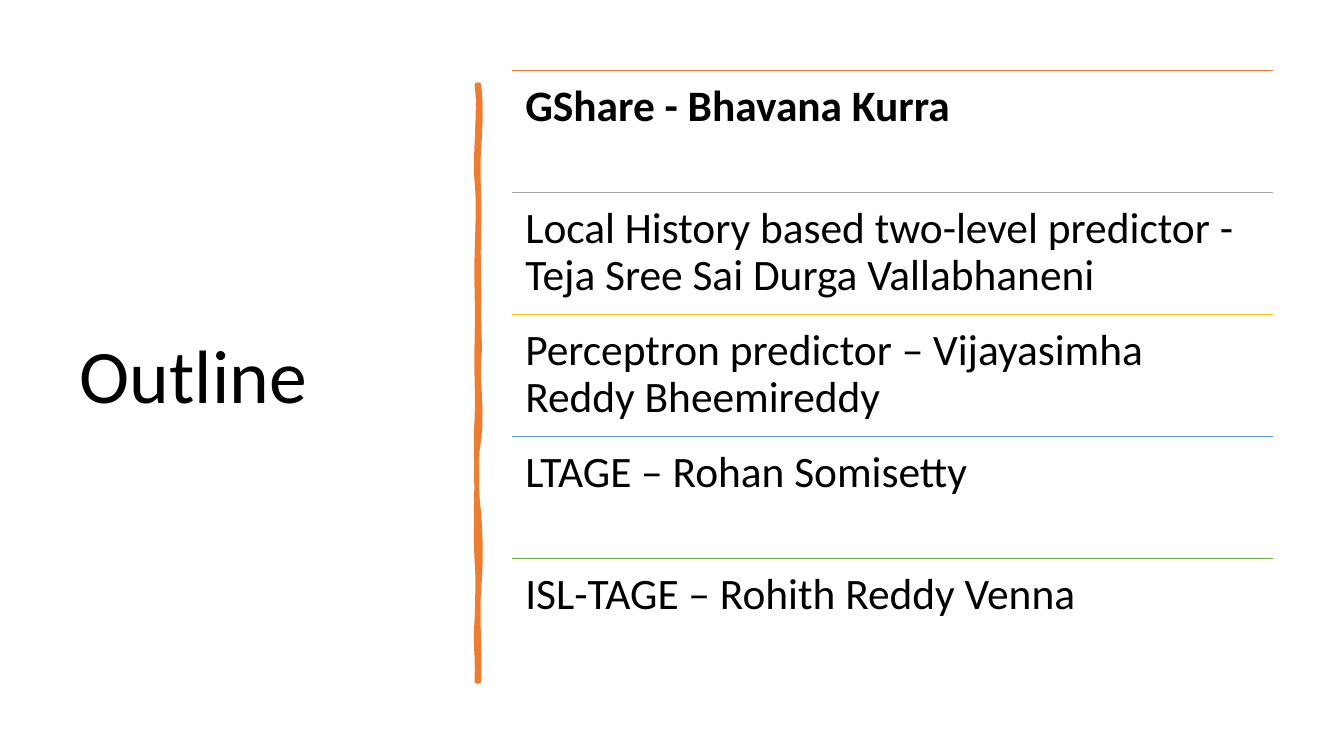
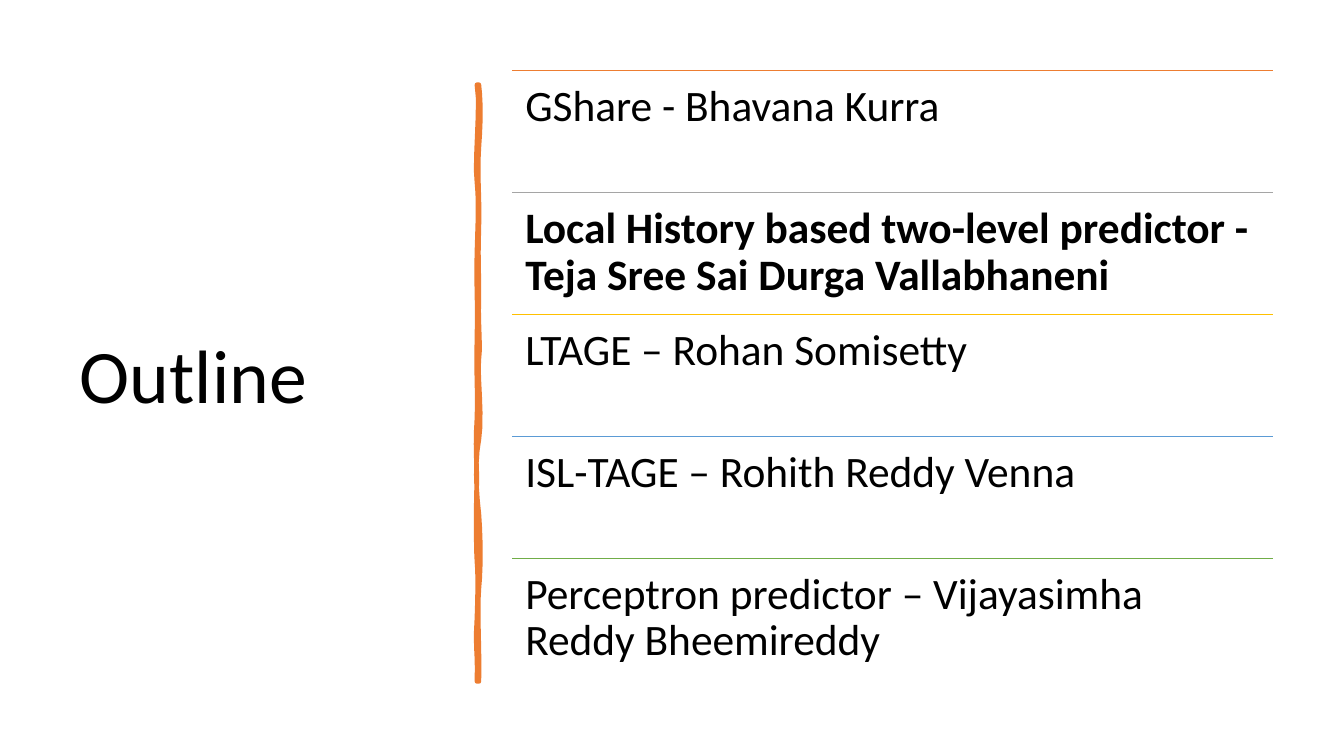
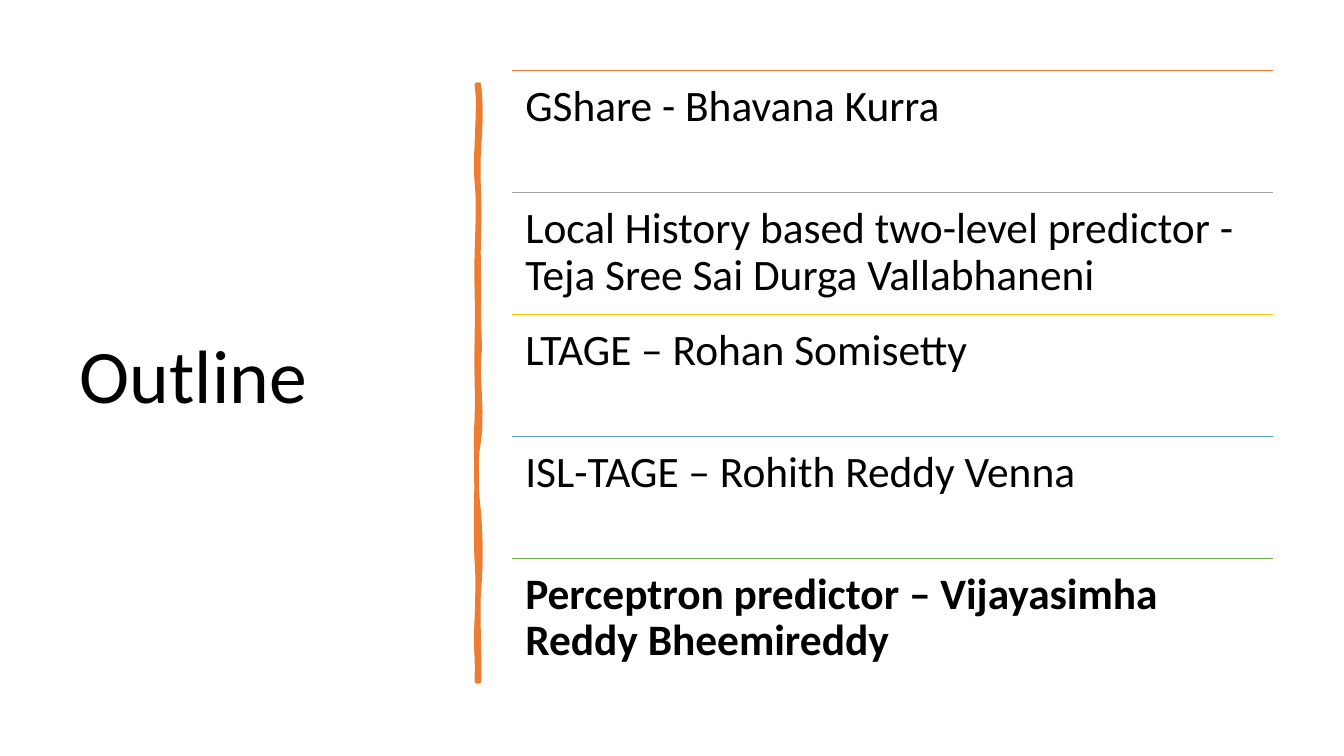
import pptx
import pptx.dml.color
import pptx.enum.shapes
import pptx.enum.text
import pptx.oxml.ns
import pptx.util
from lxml import etree

Inches = pptx.util.Inches
Pt = pptx.util.Pt

TITLE = (0.69, 0.7, 3.74, 6.11)
BRUSH = (4.73, 0.84)
LIST = (5.08, 0.7, 7.55, 6.05)
BLACK = "000000"
ORANGE = "ED7D31"
RULES = [ORANGE, "A5A5A5", "FFC000", "5B9BD5", "70AD47"]

FONT = {"name": "Calibri", "bold": False}
PAD = Inches(0.13)
FRAME = {
    "word_wrap": True,
    "auto_size": pptx.enum.text.MSO_AUTO_SIZE.NONE,
}
ROW = FRAME | {
    "vertical_anchor": pptx.enum.text.MSO_ANCHOR.TOP,
    "margin_left": PAD,
    "margin_top": PAD,
    "margin_right": PAD,
    "margin_bottom": PAD,
}
HEAD = FRAME | {"vertical_anchor": pptx.enum.text.MSO_ANCHOR.MIDDLE}
PARA = {"alignment": pptx.enum.text.PP_ALIGN.LEFT, "line_spacing": 0.9}

GSHARE = "GShare - Bhavana Kurra"
LOCAL = "Local History based two-level predictor - Teja Sree Sai Durga Vallabhaneni"
PERCEP = "Perceptron predictor – Vijayasimha Reddy Bheemireddy"
LTAGE = "LTAGE – Rohan Somisetty"
ISL = "ISL-TAGE – Rohith Reddy Venna"
FIRST = [GSHARE, LOCAL, PERCEP, LTAGE, ISL]
LATER = [GSHARE, LOCAL, LTAGE, ISL, PERCEP]
SLIDES = [(FIRST, GSHARE), (LATER, LOCAL), (LATER, PERCEP)]

START = (0.02, 0)
CURVES = [
    ((0.04, 0.18), (0.04, 0.35), (0.02, 0.62)),
    ((0, 0.89), (0.03, 1.11), (0.02, 1.42)),
    ((0.01, 1.73), (0.02, 1.78), (0.02, 2.1)),
    ((0.01, 2.41), (0.04, 2.58), (0.02, 2.72)),
    ((0, 2.86), (0.06, 3.3), (0.02, 3.52)),
    ((-0.02, 3.73), (-0.01, 4), (0.02, 4.26)),
    ((0.04, 4.52), (0.04, 4.8), (0.02, 5)),
    ((0, 5.19), (0.03, 5.66), (0.02, 5.92)),
    ((0.01, 5.92), (0, 5.92), (0, 5.92)),
    ((0.01, 5.62), (-0.02, 5.6), (0, 5.29)),
    ((0.01, 4.99), (0.01, 4.86), (0, 4.73)),
    ((-0.01, 4.6), (-0.01, 4.11), (0, 3.93)),
    ((0, 3.75), (-0.02, 3.61), (0, 3.31)),
    ((0.01, 3.02), (-0.01, 2.89), (0, 2.51)),
    ((0.01, 2.14), (-0.01, 1.97), (0, 1.66)),
    ((0.01, 1.34), (0.02, 1.16), (0, 0.97)),
    ((-0.03, 0.79), (0.04, 0.2), (0, 0)),
]


def ink(code):
    """Return the colour for a hex string."""
    return pptx.dml.color.RGBColor.from_string(code)


def apply(item, *formats):
    """Set every attribute named in the formats."""
    for values in formats:
        for name, value in values.items():
            setattr(item, name, value)


def write(shape, text, size, frame, bold=False):
    """Fill a shape with one formatted paragraph."""
    apply(shape.text_frame, frame)
    para = shape.text_frame.paragraphs[0]
    apply(para, PARA)
    run = para.add_run()
    run.text = text
    apply(run.font, FONT, {"size": Pt(size), "bold": bold})
    run.font.color.rgb = ink(BLACK)


def stroke(shape, code, width):
    """Give a shape a plain line."""
    shape.line.color.rgb = ink(code)
    shape.line.width = Pt(width)


def trace(start, curves, steps=6):
    """Return points along a chain of cubic curves."""
    points = []
    for one, two, end in curves:
        for step in range(1, steps + 1):
            t = step / steps
            u = 1 - t
            points.append(tuple(
                Inches(u**3 * a + 3 * u * u * t * b + 3 * u * t * t * c + t**3 * d)
                for a, b, c, d in zip(start, one, two, end)
            ))
        start = end
    return points


def brush(slide, left, top):
    """Draw the uneven upright stroke."""
    pen = slide.shapes.build_freeform(*map(Inches, START))
    pen.add_line_segments(trace(START, CURVES), close=True)
    shape = pen.convert_to_shape(Inches(left), Inches(top))
    shape.shadow.inherit = False
    shape.fill.solid()
    shape.fill.fore_color.rgb = ink(ORANGE)
    stroke(shape, ORANGE, 3.25)
    etree.SubElement(shape.line._get_or_add_ln(), pptx.oxml.ns.qn("a:round"))


def rule(slide, left, top, width, code):
    """Draw a level line."""
    line = slide.shapes.add_connector(
        pptx.enum.shapes.MSO_CONNECTOR.STRAIGHT,
        Inches(left), Inches(top), Inches(left + width), Inches(top),
    )
    stroke(line, code, 1)
    etree.SubElement(line._element.spPr, pptx.oxml.ns.qn("a:effectLst"))


def agenda(slide, box, items, active):
    """Stack the ruled rows, with the active one in bold."""
    left, top, width, height = box
    step = height / len(items)
    for i, (item, code) in enumerate(zip(items, RULES)):
        y = top + i * step
        rule(slide, left, y, width, code)
        row = slide.shapes.add_textbox(*map(Inches, (left, y, width, step)))
        write(row, item, 31, ROW, item == active)


def heading(slide, box, text):
    """Place the slide title."""
    title = slide.shapes.title
    apply(title, dict(zip(("left", "top", "width", "height"), map(Inches, box))))
    write(title, text, 54, HEAD)


def outline(deck, items, active):
    """Add one outline slide."""
    slide = deck.slides.add_slide(deck.slide_layouts.get_by_name("Title Only"))
    heading(slide, TITLE, "Outline")
    brush(slide, *BRUSH)
    agenda(slide, LIST, items, active)


def main():
    """Build and save the deck."""
    deck = pptx.Presentation()
    apply(deck, {"slide_width": Inches(13.33), "slide_height": Inches(7.5)})
    for items, active in SLIDES:
        outline(deck, items, active)
    deck.save("out.pptx")


if __name__ == "__main__":
    main()
